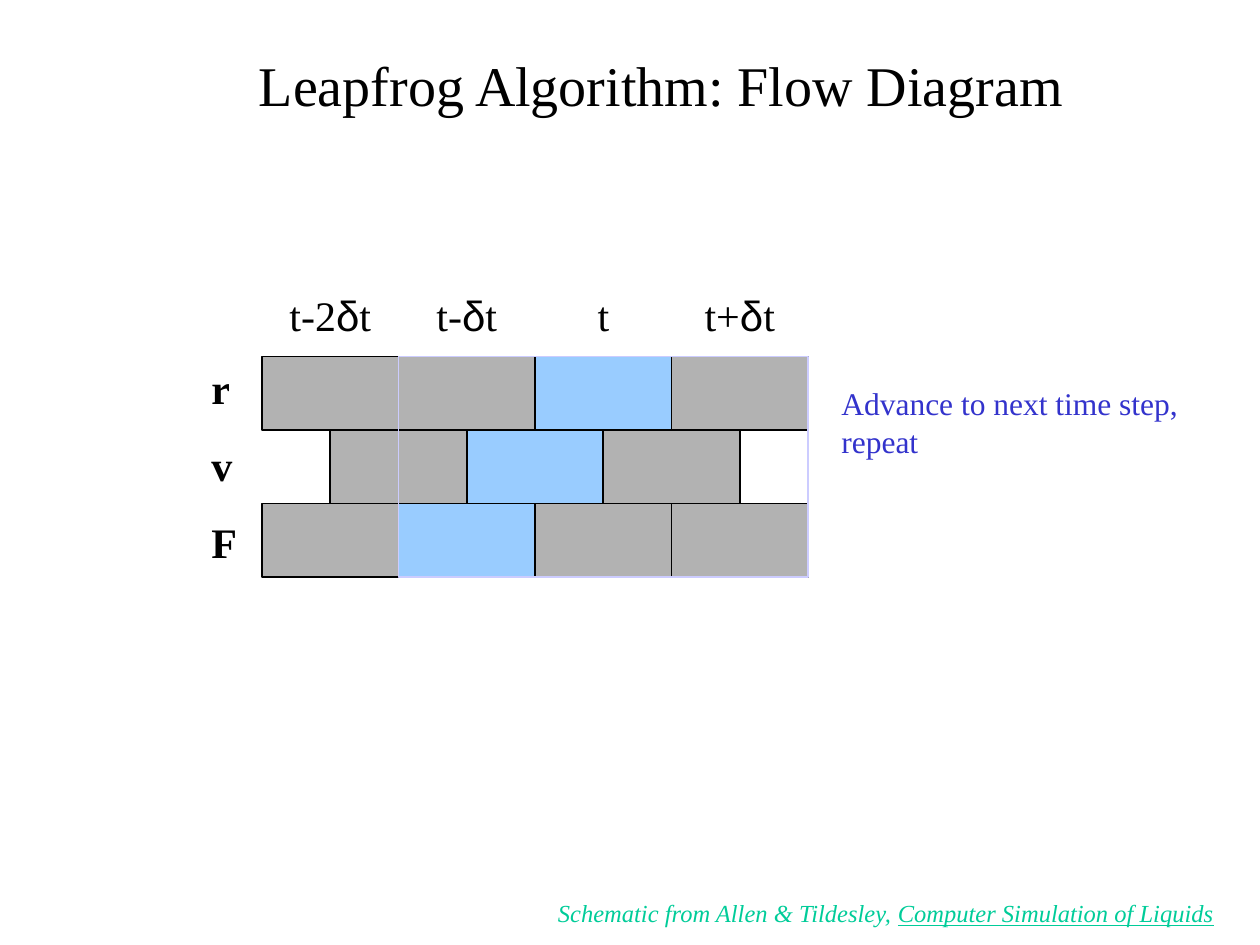
from dataclasses import dataclass

import pptx
import pptx.dml.color
import pptx.enum.shapes
import pptx.enum.text
import pptx.util
from pptx.util import Inches


@dataclass(frozen=True)
class Theme:
    """Colours, fonts and type sizes of the slide."""
    ink: str = "000000"
    cell: str = "B2B2B2"
    current: str = "99CCFF"
    frame: str = "CCCCFF"
    remark: str = "3333CC"
    credit: str = "00CC99"
    serif: str = "Times New Roman"
    symbol: str = "Arial"
    title_size: int = 32
    label_size: int = 24
    remark_size: int = 18
    credit_size: int = 14


THEME = Theme()
COLUMN, ROW = 3.25 / 3, 1.75 / 3
GRID_ROWS = (
    (0, (THEME.cell, THEME.cell, THEME.current, THEME.cell)),
    (0.5, (THEME.cell, THEME.current, THEME.cell)),
    (0, (THEME.cell, THEME.current, THEME.cell, THEME.cell)),
)
TIME_LABELS = (("t-2", "δ", "t"), ("t-", "δ", "t"), ("t",), ("t+", "δ", "t"))


def rgb(value):
    """Turn a hex string into a colour."""
    return pptx.dml.color.RGBColor.from_string(value)


def add_text_box(page, left, top, width, height):
    """Add an empty wrapping text box and return its text frame."""
    frame = page.shapes.add_textbox(Inches(left), Inches(top), Inches(width), Inches(height)).text_frame
    frame.word_wrap = True
    return frame


def add_span(para, text, size, color=THEME.ink, font=THEME.serif):
    """Add one styled run and return it."""
    span = para.add_run()
    span.text = text
    span.font.name = font
    span.font.size = pptx.util.Pt(size)
    span.font.color.rgb = rgb(color)
    return span


def add_cell(page, left, top, width, height, fill, line):
    """Add an outlined rectangle, hollow when fill is None."""
    box = page.shapes.add_shape(
        pptx.enum.shapes.MSO_SHAPE.RECTANGLE, Inches(left), Inches(top), Inches(width), Inches(height))
    box.shadow.inherit = False
    if fill:
        box.fill.solid()
        box.fill.fore_color.rgb = rgb(fill)
    else:
        box.fill.background()
    box.line.color.rgb = rgb(line)
    box.line.width = pptx.util.Pt(1)


def add_title(page, left, top, width, height):
    """Place the centred slide title."""
    frame = add_text_box(page, left, top, width, height)
    frame.vertical_anchor = pptx.enum.text.MSO_ANCHOR.MIDDLE
    para = frame.paragraphs[0]
    para.alignment = pptx.enum.text.PP_ALIGN.CENTER
    add_span(para, "Leapfrog Algorithm: Flow Diagram", THEME.title_size)


def add_grid(page, left, top):
    """Place the staggered cells and the frame around the next step."""
    for row, (shift, fills) in enumerate(GRID_ROWS):
        for column, fill in enumerate(fills):
            add_cell(page, left + (column + shift) * COLUMN, top + row * ROW, COLUMN, ROW, fill, THEME.ink)
    add_cell(page, left + COLUMN, top, 3 * COLUMN, 3 * ROW, None, THEME.frame)


def add_row_labels(page, left, top, width, height):
    """Place the bold quantity names beside the rows."""
    frame = add_text_box(page, left, top, width, height)
    for index, name in enumerate("rvF"):
        para = frame.add_paragraph() if index else frame.paragraphs[0]
        if index:
            para.space_before = pptx.util.Pt(15)
        add_span(para, name, THEME.label_size).font.bold = True


def add_time_labels(page, left, top, height):
    """Centre one time label above each grid column."""
    for column, parts in enumerate(TIME_LABELS):
        para = add_text_box(page, left + column * COLUMN, top, COLUMN, height).paragraphs[0]
        para.alignment = pptx.enum.text.PP_ALIGN.CENTER
        for part in parts:
            add_span(para, part, THEME.label_size, font=THEME.symbol if part == "δ" else THEME.serif)


def add_remark(page, left, top, width, height):
    """Place the remark beside the grid."""
    frame = add_text_box(page, left, top, width, height)
    add_span(frame.paragraphs[0], "Advance to next time step,", THEME.remark_size, THEME.remark)
    add_span(frame.add_paragraph(), "repeat", THEME.remark_size, THEME.remark)


def add_credit(page, left, top, width, height):
    """Place the italic source line with its underlined book title."""
    para = add_text_box(page, left, top, width, height).paragraphs[0]
    for text, underline in (("Schematic from Allen & Tildesley, ", False),
                            ("Computer Simulation of Liquids", True)):
        span = add_span(para, text, THEME.credit_size, THEME.credit)
        span.font.italic = True
        span.font.underline = underline


def main():
    """Build the slide and save it."""
    deck = pptx.Presentation()
    deck.slide_width, deck.slide_height = Inches(10), Inches(7.5)
    page = deck.slides.add_slide(deck.slide_layouts[6])
    add_title(page, 1.25, 0.33, 8, 0.67)
    add_grid(page, 2.08, 2.83)
    add_row_labels(page, 1.58, 2.83, 0.5, 1.72)
    add_time_labels(page, 2.08, 2.25, 0.5)
    add_remark(page, 6.58, 3, 3.33, 0.7)
    add_credit(page, 4.33, 7.08, 5.67, 0.34)
    deck.save("out.pptx")


if __name__ == "__main__":
    main()
